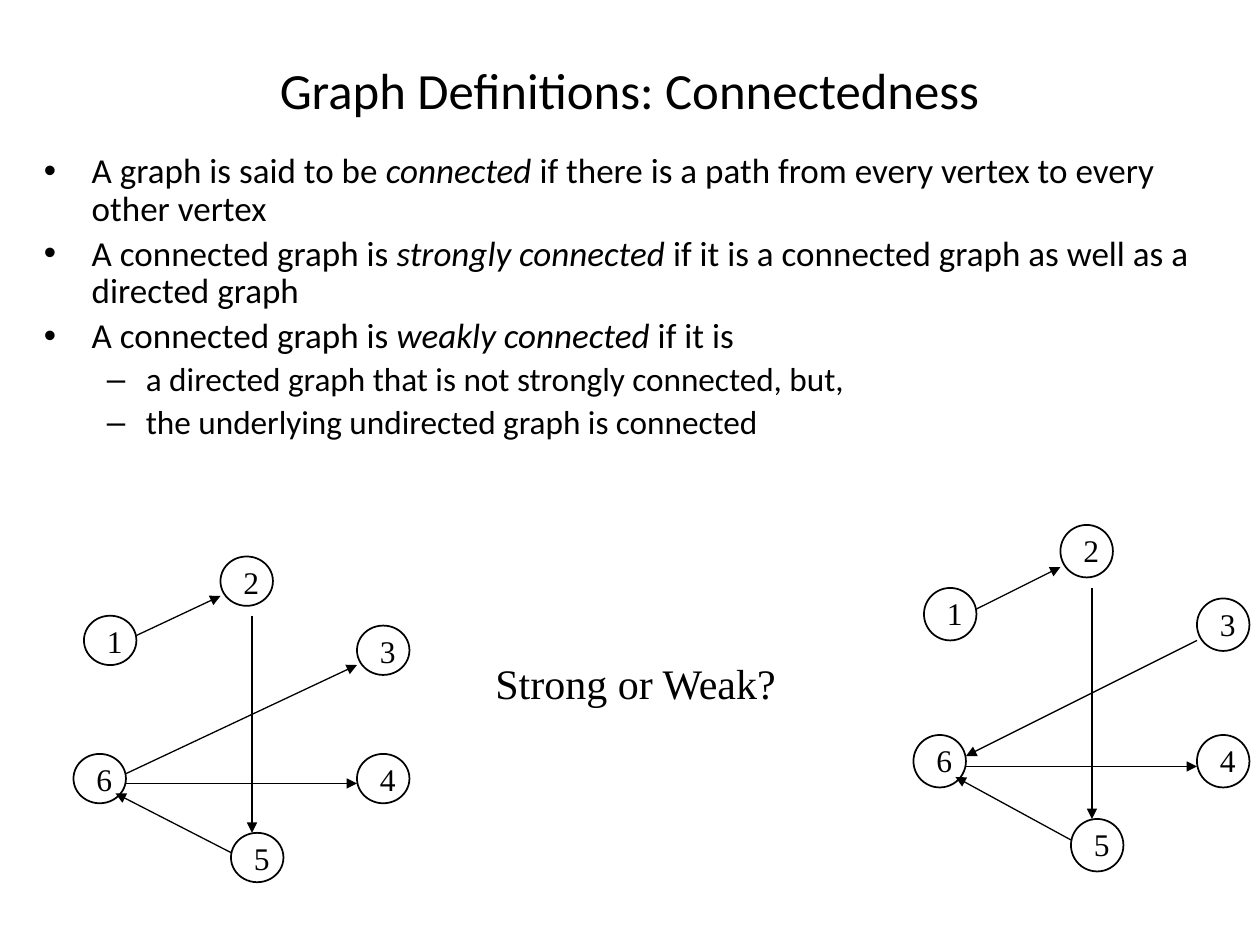
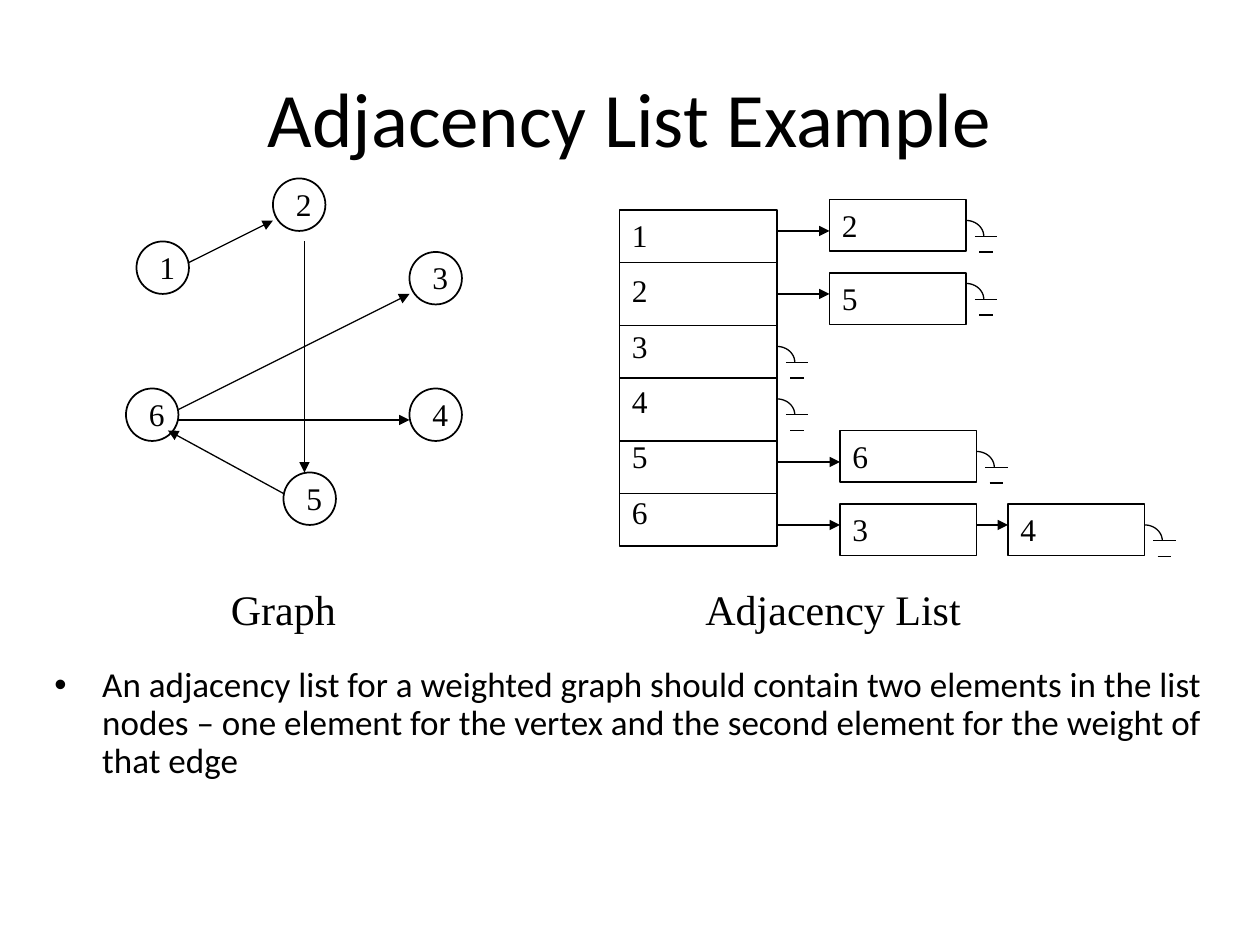
"""Build two slides on graph connectedness and adjacency lists."""
from dataclasses import dataclass
from math import cos, pi, sin

from lxml.etree import SubElement
from pptx import Presentation
from pptx.dml.color import RGBColor
from pptx.enum.shapes import MSO_CONNECTOR, MSO_SHAPE
from pptx.enum.text import MSO_ANCHOR, PP_ALIGN
from pptx.oxml.ns import qn
from pptx.util import Emu, Inches, Pt

CELL = Inches(1) // 12
COLUMNS, ROWS = 120, 90
INK = "000000"
SANS, SERIF = "Calibri", "Times New Roman"
THIN, MEDIUM = 0.75, 1
LABEL_HEIGHT = 4.8
VERTEX_SIZE = 5
NODE_WIDTH, NODE_HEIGHT = 13, 4.9


@dataclass(frozen=True)
class Area:
    """A rectangle measured in grid cells."""
    left: float
    top: float
    width: float
    height: float

    def lengths(self) -> list[Emu]:
        """Return left, top, width and height as slide lengths."""
        return [cells(value) for value in (self.left, self.top, self.width, self.height)]


@dataclass(frozen=True)
class Bullet:
    """The sign, indents in inches and text size of a list level."""
    sign: str
    margin: float
    hanging: float
    size: float


@dataclass(frozen=True)
class Vertex:
    """A numbered circle, placed from the corner of its graph."""
    name: str
    column: float
    row: float


@dataclass(frozen=True)
class Edge:
    """A line between two points in cells."""
    start: tuple[float, float]
    end: tuple[float, float]

    def reversed(self) -> "Edge":
        """Return the edge in the other direction."""
        return Edge(self.end, self.start)


@dataclass(frozen=True)
class ListNode:
    """A node of an adjacency list."""
    name: str
    column: float
    row: float


POINT = Bullet("•", 0.38, 0.38, 20)
SUBPOINT = Bullet("–", 0.81, 0.31, 19)

VERTICES = (Vertex("1", 1, 6), Vertex("2", 14, 0), Vertex("5", 15, 28),
            Vertex("6", 0, 20), Vertex("4", 27, 20), Vertex("3", 27, 7))
SIX_TO_THREE = Edge((5, 22), (27, 11))
OTHER_EDGES = (Edge((6, 8), (14, 4)), Edge((17, 6), (17, 28)),
               Edge((5, 23), (27, 23)), Edge((15, 30), (4, 24)))

VERTEX_TABLE = Area(59, 20, 15, 32)
TABLE_RIGHT = VERTEX_TABLE.left + VERTEX_TABLE.width
TABLE_DIVIDERS = (25, 31, 36, 42, 47)
LIST_NODES = (ListNode("2", 79, 19), ListNode("5", 79, 26), ListNode("6", 80, 41),
              ListNode("4", 96, 48), ListNode("3", 80, 48))
LIST_LINKS = (Edge((TABLE_RIGHT, 22), (79, 22)), Edge((TABLE_RIGHT, 28), (79, 28)),
              Edge((TABLE_RIGHT, 44), (80, 44)), Edge((TABLE_RIGHT, 50), (80, 50)),
              Edge((93, 50), (96, 50)))
LIST_ENDS = ((92, 21), (92, 27), (TABLE_RIGHT, 33), (TABLE_RIGHT, 38), (93, 43), (109, 50))


def cells(count: float) -> Emu:
    """Turn a number of grid cells into a slide length."""
    return Emu(round(count * CELL))


def color(code: str) -> RGBColor:
    """Turn a hex string into a colour."""
    return RGBColor.from_string(code)


def add_bullet(para, bullet: Bullet) -> None:
    """Give a paragraph a bullet and a hanging indent."""
    properties = para._p.get_or_add_pPr()
    properties.set("marL", str(Inches(bullet.margin)))
    properties.set("indent", str(-Inches(bullet.hanging)))
    SubElement(properties, qn("a:buFont")).set("typeface", "Arial")
    SubElement(properties, qn("a:buChar")).set("char", bullet.sign)


def write(para, text: str, *, size: float = 18, font: str = SERIF,
          align=PP_ALIGN.LEFT, bullet: Bullet | None = None,
          before: float = 0, spacing: float | None = None) -> None:
    """Write a paragraph, with the parts between asterisks in italics."""
    if bullet:
        add_bullet(para, bullet)
    para.alignment = align
    para.space_before = Pt(before)
    if spacing:
        para.line_spacing = spacing
    for index, part in enumerate(text.split("*")):
        span = para.add_run()
        span.text = part
        span.font.size = Pt(size)
        span.font.name = font
        span.font.italic = index % 2 == 1
        span.font.color.rgb = color(INK)


def paragraphs(frame, count: int) -> list:
    """Return the given number of paragraphs in an empty frame."""
    return [frame.paragraphs[0]] + [frame.add_paragraph() for _ in range(count - 1)]


def add_text(shapes, area: Area, text: str, *, anchor=MSO_ANCHOR.TOP,
             wrap: bool = True, **style) -> None:
    """Add a text box holding one paragraph."""
    frame = shapes.add_textbox(*area.lengths()).text_frame
    frame.word_wrap = wrap
    frame.vertical_anchor = anchor
    write(frame.paragraphs[0], text, **style)


def add_title(page, text: str, top: float, size: float) -> None:
    """Add the centred slide title."""
    add_text(page.shapes, Area(6, top, COLUMNS - 12, 15), text, size=size, font=SANS,
             align=PP_ALIGN.CENTER, anchor=MSO_ANCHOR.MIDDLE)


def add_body(page, area: Area, items: list[tuple[Bullet, str]]) -> None:
    """Add the bulleted body text."""
    frame = page.shapes.add_textbox(*area.lengths()).text_frame
    frame.word_wrap = True
    for index, (para, (bullet, text)) in enumerate(zip(paragraphs(frame, len(items)), items)):
        write(para, text, size=bullet.size, font=SANS, bullet=bullet,
              before=4 if index else 0, spacing=0.9)


def add_caption(page, text: str, area: Area) -> None:
    """Add a large caption on one line."""
    add_text(page.shapes, area, text, size=24, wrap=False)


def outline(shape, width: float) -> None:
    """Leave a shape unfilled, with a plain outline and no shadow."""
    shape.shadow.inherit = False
    shape.fill.background()
    shape.line.color.rgb = color(INK)
    shape.line.width = Pt(width)


def add_line(shapes, edge: Edge, arrow: bool = False):
    """Add a thin straight line, with an arrowhead at its end on request."""
    line = shapes.add_connector(MSO_CONNECTOR.STRAIGHT,
                                *map(cells, (*edge.start, *edge.end)))
    line.line.color.rgb = color(INK)
    line.line.width = Pt(THIN)
    if arrow:
        SubElement(line.line._get_or_add_ln(), qn("a:tailEnd")).set("type", "triangle")
    SubElement(line._element.spPr, qn("a:effectLst"))
    return line


def add_record(shapes, area: Area, lines: list[str]):
    """Add an outlined rectangle with one paragraph for each line."""
    record = shapes.add_shape(MSO_SHAPE.RECTANGLE, *area.lengths())
    outline(record, MEDIUM)
    frame = record.text_frame
    frame.word_wrap = True
    frame.vertical_anchor = MSO_ANCHOR.TOP
    for index, (para, text) in enumerate(zip(paragraphs(frame, len(lines)), lines)):
        write(para, text, before=10 if index else 0)
    return record


def add_graph(page, left: float, top: float, edges: tuple[Edge, ...],
              stretch: float = 1) -> None:
    """Add a directed graph whose height is scaled by the stretch."""
    shapes = page.shapes.add_group_shape().shapes

    def place(point: tuple[float, float]) -> tuple[float, float]:
        return left + point[0], top + point[1] * stretch

    for vertex in VERTICES:
        column, row = place((vertex.column, vertex.row))
        circle = Area(column, row, VERTEX_SIZE, VERTEX_SIZE * stretch)
        outline(shapes.add_shape(MSO_SHAPE.OVAL, *circle.lengths()), MEDIUM)
        add_text(shapes, Area(column + 1, row, VERTEX_SIZE - 1, LABEL_HEIGHT), vertex.name)
    for edge in edges:
        add_line(shapes, Edge(place(edge.start), place(edge.end)), arrow=True)


def add_list_end(shapes, column: float, row: float) -> None:
    """Add the ground sign that closes a list."""
    width, height, steps = 1.7, 1.5, 12
    angles = [pi / 2 * step / steps for step in range(steps + 1)]
    points = [(cells(column + width * sin(angle)), cells(row + height * (1 - cos(angle))))
              for angle in angles]
    builder = shapes.build_freeform(*points[0])
    builder.add_line_segments(points[1:], close=False)
    outline(builder.convert_to_shape(), THIN)
    for start, end, drop in ((0.85, 3, height), (1.25, 2.55, 2 * height)):
        add_line(shapes, Edge((column + start, row + drop), (column + end, row + drop)))


def add_adjacency_list(page) -> None:
    """Add the vertex table with its linked lists."""
    shapes = page.shapes.add_group_shape().shapes
    table = add_record(shapes, VERTEX_TABLE, list("123456"))
    for node in LIST_NODES:
        add_record(shapes, Area(node.column, node.row, NODE_WIDTH, NODE_HEIGHT), [node.name])
    for row in TABLE_DIVIDERS:
        divider = add_line(shapes, Edge((VERTEX_TABLE.left, row), (TABLE_RIGHT, row)))
        if row == VERTEX_TABLE.top + VERTEX_TABLE.height / 2:
            divider.begin_connect(table, 1)
            divider.end_connect(table, 3)
    for link in LIST_LINKS:
        add_line(shapes, link, arrow=True)
    for column, row in LIST_ENDS:
        add_list_end(shapes, column, row)


def build_connectedness(page) -> None:
    """Build the slide that defines connectedness."""
    add_title(page, "Graph Definitions: Connectedness", 1, 29)
    add_body(page, Area(3, 14, 113, 40), [
        (POINT, "A graph is said to be *connected* if there is a path from every vertex "
                "to every other vertex"),
        (POINT, "A connected graph is *strongly connected* if it is a connected graph "
                "as well as a directed graph"),
        (POINT, "A connected graph is *weakly connected* if it is"),
        (SUBPOINT, "a directed graph that is not strongly connected, but,"),
        (SUBPOINT, "the underlying undirected graph is connected"),
    ])
    add_graph(page, 7, 53, (*OTHER_EDGES, SIX_TO_THREE), stretch=0.94)
    add_graph(page, 87, 50, (*OTHER_EDGES, SIX_TO_THREE.reversed()))
    add_caption(page, "Strong or Weak?", Area(46, 62, 29.5, 6))


def build_adjacency(page) -> None:
    """Build the slide that shows an adjacency list."""
    add_title(page, "Adjacency List Example", 3.6, 44)
    add_graph(page, 12, 17, (*OTHER_EDGES, SIX_TO_THREE))
    add_adjacency_list(page)
    add_caption(page, "Graph", Area(20.8, 55, 12.4, 6))
    add_caption(page, "Adjacency List", Area(66, 55, 26.8, 6))
    add_body(page, Area(4, 63, 113, 15), [
        (POINT, "An adjacency list for a weighted graph should contain two elements in "
                "the list nodes – one element for the vertex and the second element for "
                "the weight of that edge"),
    ])


def main() -> None:
    """Build and save the deck."""
    deck = Presentation()
    deck.slide_width, deck.slide_height = cells(COLUMNS), cells(ROWS)
    for build in (build_connectedness, build_adjacency):
        build(deck.slides.add_slide(deck.slide_layouts[6]))
    deck.save("out.pptx")


if __name__ == "__main__":
    main()
